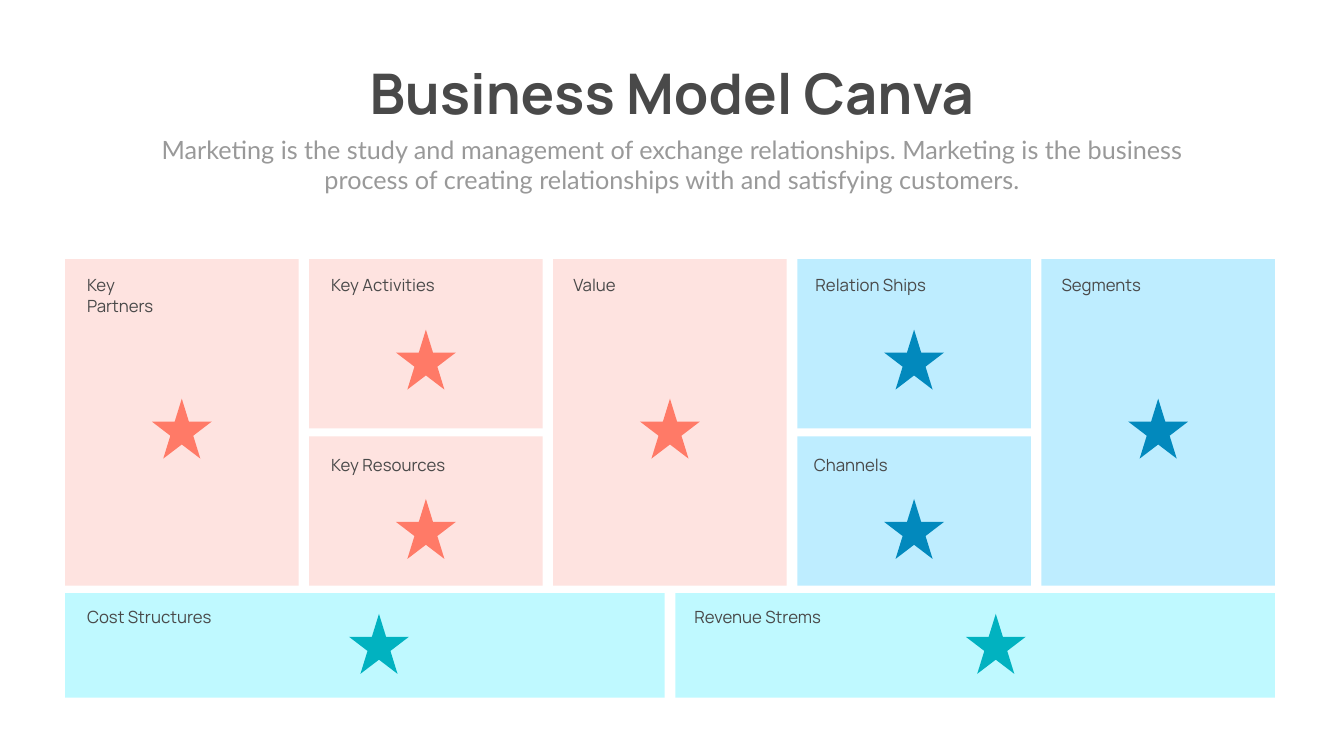
from pptx import Presentation
from pptx.dml.color import RGBColor
from pptx.enum.shapes import MSO_SHAPE
from pptx.enum.text import MSO_ANCHOR, MSO_AUTO_SIZE, PP_ALIGN
from pptx.util import Inches, Pt

CARD, STAR = MSO_SHAPE.ROUNDED_RECTANGLE, MSO_SHAPE.STAR_5_POINT
TOP, CENTER = MSO_ANCHOR.TOP, PP_ALIGN.CENTER
FIXED = MSO_AUTO_SIZE.NONE

WIDTH, HEIGHT = 26.66, 15
LEFT, GAP, COLS = 1.29, 0.21, 5
PITCH = (WIDTH - 0.08 - 2 * LEFT + GAP) / COLS
STAR_SIZE = 1.19
INK, GRAY = "494949", "999999"

# Band: card top, card height, label top, star top
BANDS = {
    "full": (5.14, 6.48, 5.41, 7.91),
    "upper": (5.14, 3.36, 5.41, 6.54),
    "lower": (8.66, 2.96, 8.98, 9.9),
    "base": (11.77, 2.07, 11.98, 12.18),
}
# Tone: card fill, star fill
TONES = {
    "coral": ("FEE3E0", "FF7A67"),
    "blue": ("BEEDFF", "0289BD"),
    "teal": ("BFF9FF", "01B2C0"),
}
# Label, first column, columns spanned, band, tone, label inset, label width, star shift
BLOCKS = [
    ("Key Partners", 0, 1, "full", "coral", 0.34, 1.83, 0),
    ("Key Activities", 1, 1, "upper", "coral", 0.34, 2.75, 0),
    ("Key Resources", 1, 1, "lower", "coral", 0.34, 3.3, 0),
    ("Value", 2, 1, "full", "coral", 0.3, 2.39, 0),
    ("Relation Ships", 3, 1, "upper", "blue", 0.26, 2.75, 0),
    ("Channels", 3, 1, "lower", "blue", 0.23, 2.41, 0),
    ("Segments", 4, 1, "full", "blue", 0.3, 2.39, 0),
    ("Cost Structures", 0, 2.5, "base", "teal", 0.34, 3.03, 0.28),
    ("Revenue Strems", 2.5, 2.5, "base", "teal", 0.28, 3.03, 0.41),
]


def color(code):
    return RGBColor.from_string(code)


def box(*sizes):
    return [Inches(size) for size in sizes]


def write(shape, text, size, face, ink, bold=False, align=None):
    frame = shape.text_frame
    frame.text = text
    frame.word_wrap = True
    frame.auto_size = FIXED
    frame.vertical_anchor = TOP
    para = frame.paragraphs[0]
    para.alignment = align
    para.space_before = Pt(0)
    font = para.runs[0].font
    font.size, font.name, font.bold = Pt(size), face, bold
    font.color.rgb = color(ink)


def place(shape, *sizes):
    shape.left, shape.top, shape.width, shape.height = box(*sizes)


def draw(slide, kind, fill, *sizes):
    shape = slide.shapes.add_shape(kind, *box(*sizes))
    shape.shadow.inherit = False
    shape.fill.solid()
    shape.fill.fore_color.rgb = color(fill)
    shape.line.fill.background()
    return shape


def add_block(slide, label, col, span, band, tone, inset, room, shift):
    """Draw one canvas block: card, label and star."""
    top, high, text_top, star_top = BANDS[band]
    tint, accent = TONES[tone]
    left, wide = LEFT + col * PITCH, span * PITCH - GAP
    card = draw(slide, CARD, tint, left, top, wide, high)
    card.adjustments[0] = 0
    note = slide.shapes.add_textbox(
        *box(left + inset, text_top, room, 0.91 if band == "full" else 0.5))
    write(note, label, 24, "Manrope", INK)
    star_left = left + (wide - STAR_SIZE) / 2 + shift
    draw(slide, STAR, accent, star_left, star_top, STAR_SIZE, STAR_SIZE)


def main():
    deck = Presentation()
    deck.slide_width, deck.slide_height = box(WIDTH, HEIGHT)
    slide = deck.slides.add_slide(deck.slide_layouts[0])
    title, intro = slide.placeholders
    place(title, 6.73, 1.12, 13.2, 1.45)
    write(title, "Business Model Canva", 80, "Manrope", INK, True, CENTER)
    place(intro, 2.92, 2.61, 20.82, 1.31)
    write(intro, "Marketing is the study and management of exchange relationships. "
          "Marketing is the business process of creating relationships with "
          "and satisfying customers.", 36, "Lato", GRAY, align=CENTER)
    for block in BLOCKS:
        add_block(slide, *block)
    deck.save("out.pptx")


if __name__ == "__main__":
    main()
